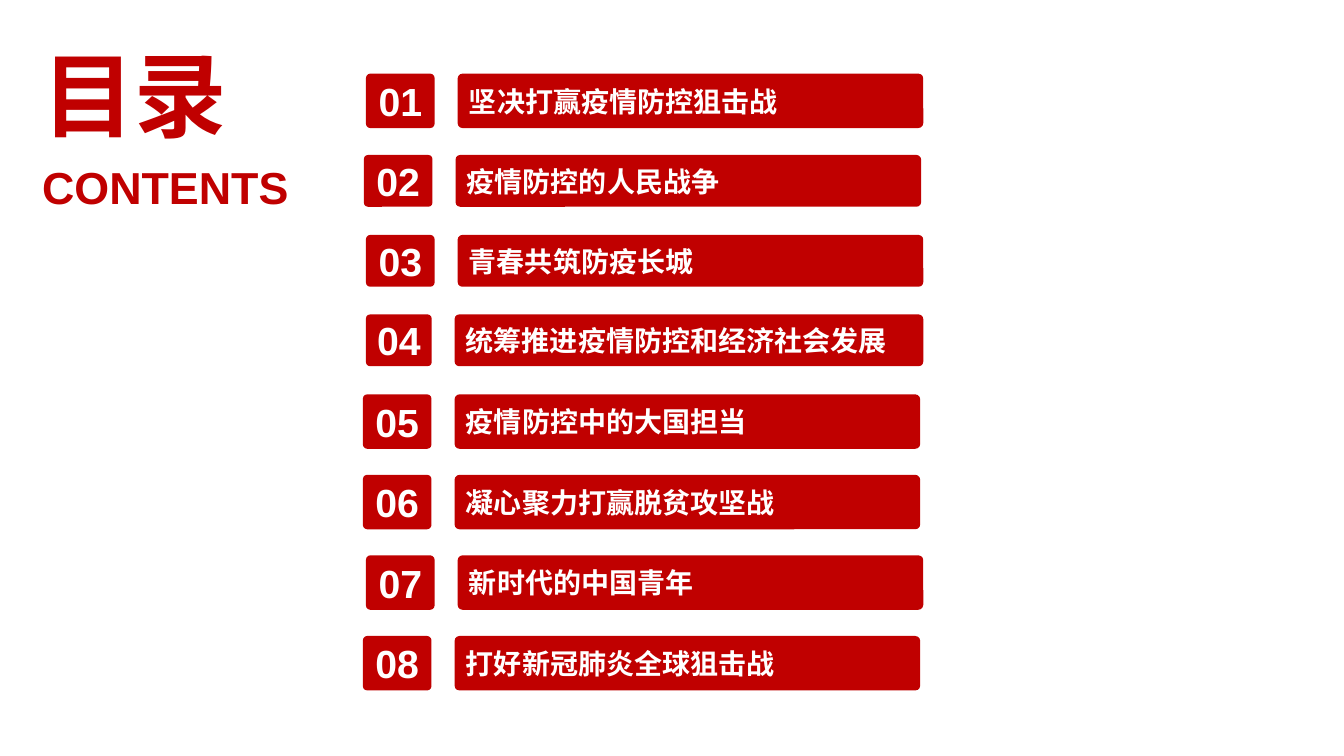
"""Build the contents slide with eight numbered chapter bars."""
from dataclasses import dataclass

import pptx
import pptx.dml.color
import pptx.enum.shapes
import pptx.enum.text
import pptx.shapes.autoshape
import pptx.shapes.group
import pptx.slide
import pptx.util

Pt = pptx.util.Pt
RED = pptx.dml.color.RGBColor(0xC0, 0x00, 0x00)
WHITE = pptx.dml.color.RGBColor(0xFF, 0xFF, 0xFF)
ALIGN = pptx.enum.text.PP_ALIGN
FONT = "Arial"


@dataclass
class Chapter:
    """One row of the contents list, in points."""
    title: str
    top: float
    height: float
    number_left: float = 261.4
    number_width: float = 49
    bar_left: float = 326.9
    bar_width: float = 332.6


@dataclass
class Heading:
    """One line of the slide heading, in points."""
    text: str
    top: float
    width: float
    height: float
    size: float
    align: ALIGN
    wrap: bool


CHAPTERS = [
    Chapter("坚决打赢疫情防控狙击战", 52.6, 38.9),
    Chapter("疫情防控的人民战争", 110.7, 37, 259.9, bar_left=325.4),
    Chapter("青春共筑防疫长城", 167.8, 37),
    Chapter("统筹推进疫情防控和经济社会发展", 224.6, 37, 261.4, 47, 324.7, 334.8),
    Chapter("疫情防控中的大国担当", 281.7, 38.9, 259.2, bar_left=324.7),
    Chapter("凝心聚力打赢脱贫攻坚战", 339.2, 38.9, 259.2, bar_left=324.7),
    Chapter("新时代的中国青年", 396.7, 38.9),
    Chapter("打好新冠肺炎全球狙击战", 454.3, 38.9, 259.2, bar_left=324.7),
]
HEADINGS = [
    Heading("目录", 23.8, 166.3, 87.1, 66, ALIGN.JUSTIFY, True),
    Heading("CONTENTS", 110.9, 192.2, 46.1, 32, ALIGN.LEFT, False),
]


def add_text(tf: pptx.text.text.TextFrame, text: str, size: float,
             color: pptx.dml.color.RGBColor, align: ALIGN) -> None:
    """Write one bold run into a text frame."""
    p = tf.paragraphs[0]
    p.alignment = align
    r = p.add_run()
    r.text = text
    r.font.name = FONT
    r.font.size = Pt(size)
    r.font.bold = True
    r.font.color.rgb = color


def add_box(grp: pptx.shapes.group.GroupShape, left: float, top: float, width: float,
            height: float, radius: float) -> pptx.shapes.autoshape.Shape:
    """Add a plain red rounded box to a group."""
    sp = grp.shapes.add_shape(pptx.enum.shapes.MSO_SHAPE.ROUNDED_RECTANGLE,
                              Pt(left), Pt(top), Pt(width), Pt(height))
    sp.adjustments[0] = radius
    sp.shadow.inherit = False
    sp.fill.solid()
    sp.fill.fore_color.rgb = RED
    sp.line.fill.background()
    sp.text_frame.word_wrap = True
    sp.text_frame.vertical_anchor = pptx.enum.text.MSO_ANCHOR.MIDDLE
    return sp


def add_chapter(s: pptx.slide.Slide, number: int, c: Chapter) -> None:
    """Add a number box and its title bar as one group."""
    grp = s.shapes.add_group_shape()
    sp = add_box(grp, c.number_left, c.top, c.number_width, c.height, 0.08)
    tf = sp.text_frame
    tf.margin_left = tf.margin_top = tf.margin_right = tf.margin_bottom = Pt(0)
    add_text(tf, f"{number:02}", 28, WHITE, ALIGN.CENTER)
    sp = add_box(grp, c.bar_left, c.top, c.bar_width, c.height, 0.09)
    add_text(sp.text_frame, c.title, 20, WHITE, ALIGN.LEFT)


def add_heading(s: pptx.slide.Slide, h: Heading) -> None:
    """Add one heading text box."""
    sp = s.shapes.add_textbox(Pt(23), Pt(h.top), Pt(h.width), Pt(h.height))
    tf = sp.text_frame
    tf.word_wrap = h.wrap
    tf.auto_size = pptx.enum.text.MSO_AUTO_SIZE.SHAPE_TO_FIT_TEXT
    add_text(tf, h.text, h.size, RED, h.align)


def main() -> None:
    """Create and save the presentation."""
    prs = pptx.Presentation()
    prs.slide_width, prs.slide_height = Pt(960), Pt(540)
    s = prs.slides.add_slide(prs.slide_layouts[6])
    for heading in HEADINGS:
        add_heading(s, heading)
    for number, chapter in enumerate(CHAPTERS, 1):
        add_chapter(s, number, chapter)
    prs.save("out.pptx")


if __name__ == "__main__":
    main()
